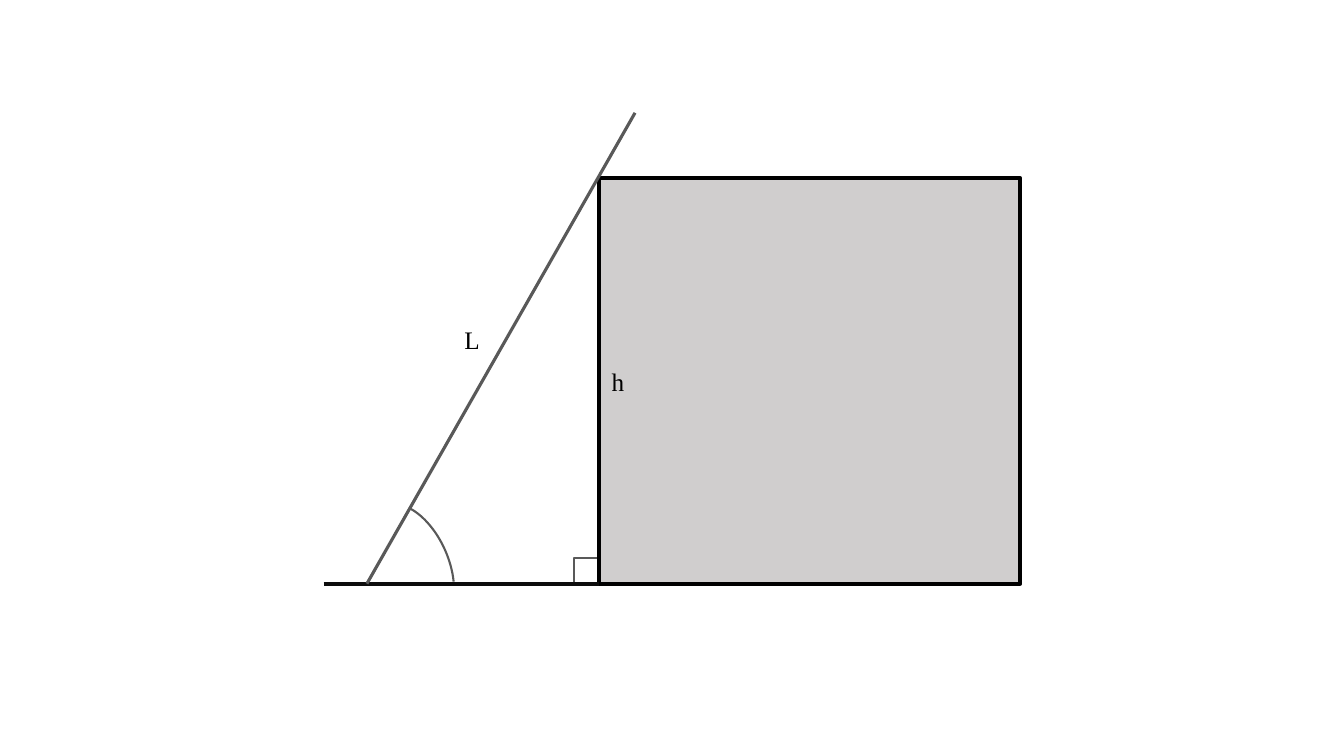
"""Draw a ladder leaning over a block, with its angle, length and height marked."""
from pptx import Presentation
from pptx.dml.color import RGBColor
from pptx.enum import shapes, text
from pptx.oxml.ns import qn
from pptx.util import Pt

FONT, SIZE = "Times New Roman", 18
GREY, BLACK, GROUND_BLACK, BLOCK_GREY = "595959", "000000", "0D0D0D", "D0CECE"
LEFT, FLOOR = 427.7, 416.9
BLOCK_W, BLOCK_H, CORNER = 301, 289.5, 18
FOOT = (262.1, FLOOR)

BOXES = [
    ("RECTANGLE", (LEFT - CORNER, FLOOR - CORNER, CORNER, CORNER), None, GREY, 1.5, 0, ()),
    ("RECTANGLE", (LEFT, FLOOR - BLOCK_H, BLOCK_W, BLOCK_H), BLOCK_GREY, BLACK, 3, 0, ()),
    ("ARC", (245.5, 376.6, 94.3, 55.4), None, GREY, 1.5, 66.3, (121.717, 187.977)),
]
LINES = [
    ((231.1, FLOOR), (LEFT, FLOOR), GROUND_BLACK, 3),
    (FOOT, (453.6, 80.6), GREY, 2.25),
]
LABELS = [("h", (429.8, 257.8, 23.8, 29)), ("L", (324.7, 228.2, 25.9, 29))]


def rgb(value):
    return RGBColor.from_string(value)


def style_line(line, color, width):
    line.color.rgb = rgb(color)
    line.width = Pt(width)


def add_box(s, kind, place, fill, color, width, turn, adjustments):
    sp = s.shapes.add_shape(shapes.MSO_SHAPE[kind], *map(Pt, place))
    sp.shadow.inherit = False
    sp.rotation = turn
    for i, value in enumerate(adjustments):
        sp.adjustments[i] = value
    if fill:
        sp.fill.solid()
        sp.fill.fore_color.rgb = rgb(fill)
    else:
        sp.fill.background()
    style_line(sp.line, color, width)


def add_line(s, start, end, color, width):
    line = s.shapes.add_connector(shapes.MSO_CONNECTOR.STRAIGHT, *map(Pt, start + end))
    style_line(line.line, color, width)
    props = line._element.spPr
    props.append(props.makeelement(qn("a:effectLst"), {}))


def add_label(s, words, place):
    tf = s.shapes.add_textbox(*map(Pt, place)).text_frame
    tf.text = words
    tf.word_wrap = False
    tf.auto_size = text.MSO_AUTO_SIZE.SHAPE_TO_FIT_TEXT
    font = tf.paragraphs[0].runs[0].font
    font.name, font.size = FONT, Pt(SIZE)
    font.color.rgb = rgb(BLACK)


def main():
    prs = Presentation()
    prs.slide_width, prs.slide_height = Pt(960), Pt(540)
    s = prs.slides.add_slide(prs.slide_layouts[6])
    for box in BOXES:
        add_box(s, *box)
    for line in LINES:
        add_line(s, *line)
    for label in LABELS:
        add_label(s, *label)
    prs.save("out.pptx")


if __name__ == "__main__":
    main()
